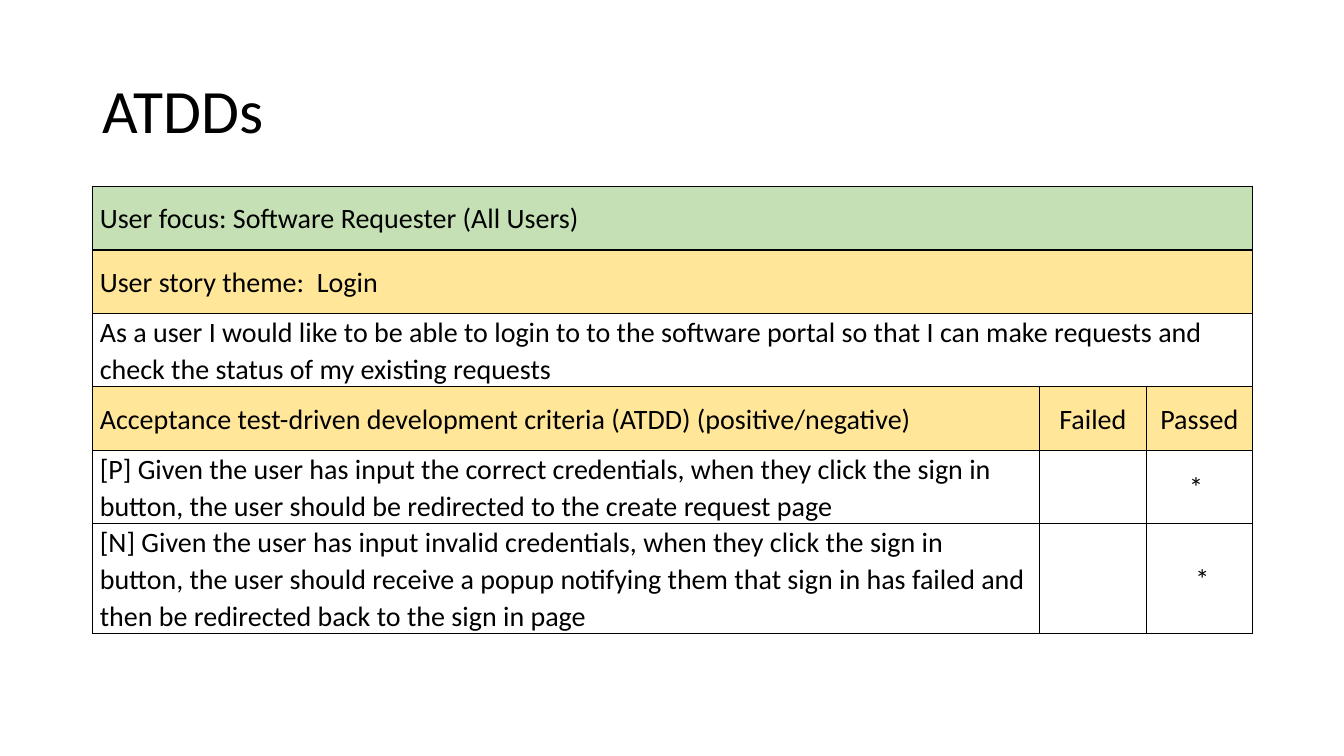
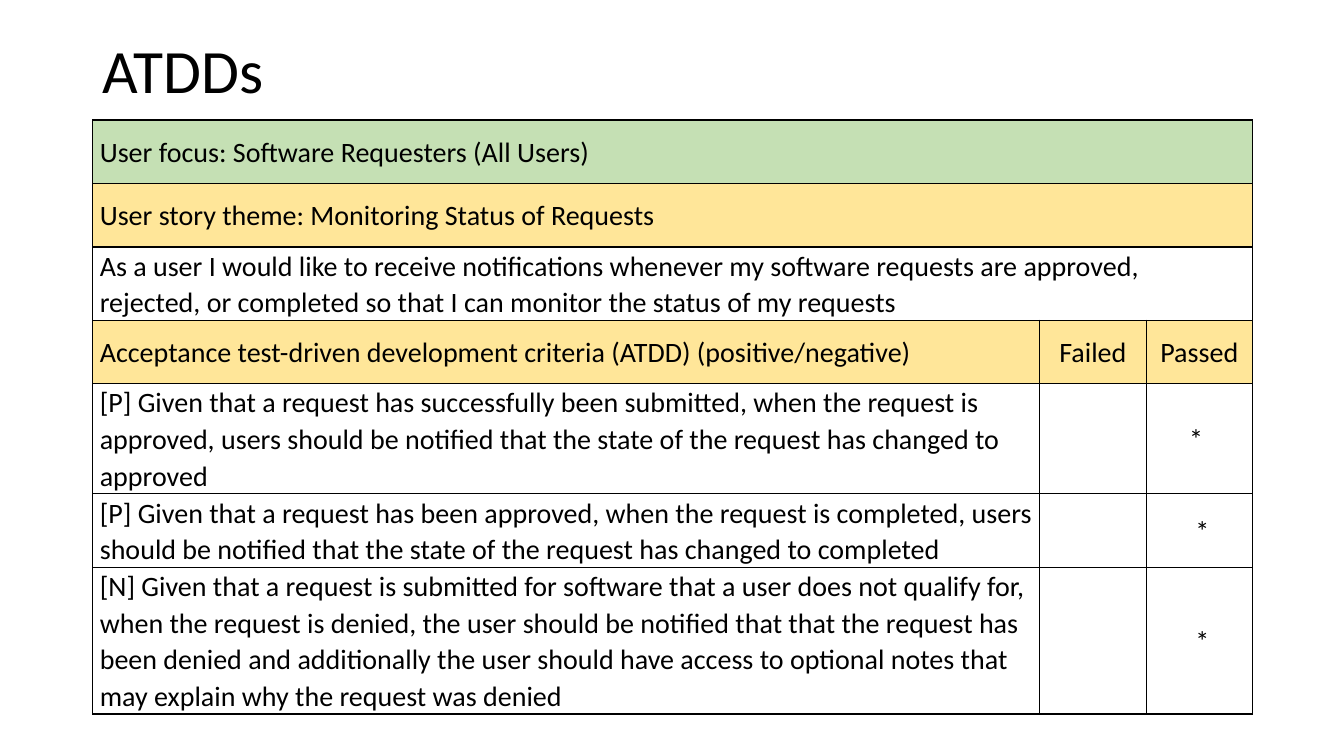
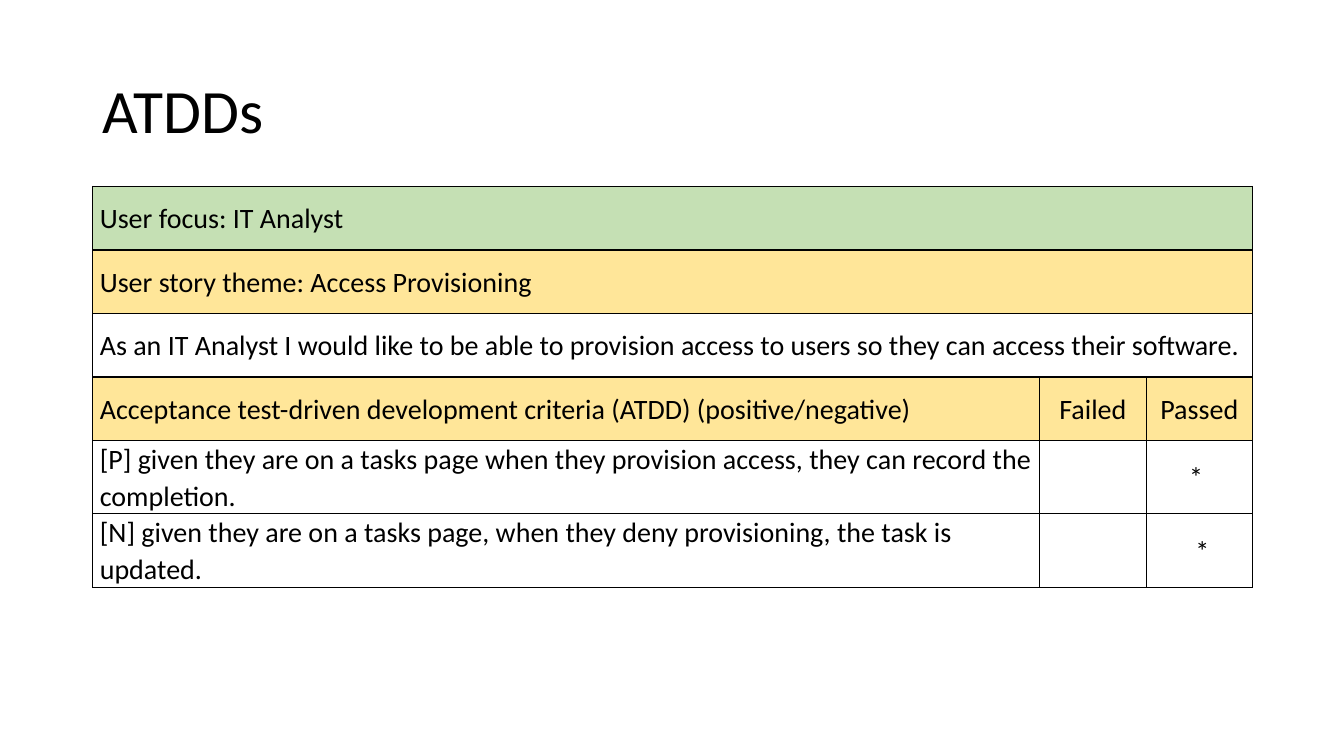
from pptx import Presentation
from pptx.dml.color import RGBColor
from pptx.enum.text import MSO_ANCHOR, MSO_AUTO_SIZE, PP_ALIGN
from pptx.oxml import parse_xml
from pptx.oxml.ns import nsdecls
from pptx.util import Inches, Pt

BLACK = RGBColor(0x00, 0x00, 0x00)
GREEN = RGBColor(0xC5, 0xE0, 0xB4)
YELLOW = RGBColor(0xFF, 0xE6, 0x99)

FONT = "Calibri"
LEFT, WIDTH = Inches(0.92), Inches(11.5)
TITLE_HEIGHT = Inches(1.45)
ROW_HEIGHT = Inches(0.63)
COLUMN_WIDTHS = [Inches(9.39), Inches(1.06), Inches(1.05)]

TITLE_FRAME = {"vertical_anchor": MSO_ANCHOR.MIDDLE, "word_wrap": True,
               "auto_size": MSO_AUTO_SIZE.NONE,
               "margin_left": Inches(0.1), "margin_right": Inches(0.1),
               "margin_top": Inches(0.05), "margin_bottom": Inches(0.05)}
TITLE_PARA = {"alignment": PP_ALIGN.LEFT, "line_spacing": 0.9}
TITLE_FONT = {"name": FONT, "size": Pt(44)}
CELL_FRAME = {"vertical_anchor": MSO_ANCHOR.MIDDLE,
              "margin_left": Inches(0.07), "margin_right": Inches(0.07),
              "margin_top": 0, "margin_bottom": 0}
CELL_FONT = {"name": FONT, "size": Pt(20)}
PLAIN_TABLE = {"first_row": False, "horz_banding": False}

CRITERIA_HEADER = ["Acceptance test-driven development criteria (ATDD) (positive/negative)",
                   "Failed", "Passed"]
FIRST_MARK, LATER_MARK = "*\u00a0", "\u00a0*"

STORIES = [
    {"title_top": Inches(0.4), "table_top": Inches(1.85),
     "focus": "Software Requester (All Users)",
     "theme": " Login",
     "story": "As a user I would like to be able to login to to the software portal "
              "so that I can make requests and check the status of my existing requests",
     "criteria": [
         "[P] Given the user has input the correct credentials, when they click the "
         "sign in button, the user should be redirected to the create request page",
         "[N] Given the user has input invalid credentials, when they click the sign in "
         "button, the user should receive a popup notifying them that sign in has "
         "failed and then be redirected back to the sign in page"]},
    {"title_top": Inches(0), "table_top": Inches(1.19),
     "focus": "Software Requesters (All Users)",
     "theme": "Monitoring Status of Requests",
     "story": "As a user I would like to receive notifications whenever my software "
              "requests are approved, rejected, or completed so that I can monitor "
              "the status of my requests",
     "criteria": [
         "[P] Given that a request has successfully been submitted, when the request is "
         "approved, users should be notified that the state of the request has changed "
         "to approved",
         "[P] Given that a request has been approved, when the request is completed, "
         "users should be notified that the state of the request has changed to completed",
         "[N] Given that a request is submitted for software that a user does not qualify "
         "for, when the request is denied, the user should be notified that that the "
         "request has been denied and additionally the user should have access to "
         "optional notes that may explain why the request was denied"]},
    {"title_top": Inches(0.4), "table_top": Inches(1.85),
     "focus": "IT Analyst",
     "theme": "Access Provisioning",
     "story": "As an IT Analyst I would like to be able to provision access to users "
              "so they can access their software.",
     "criteria": [
         "[P] given they are on a tasks page when they provision access, they can "
         "record the completion.",
         "[N] given they are on a tasks page, when they deny provisioning, the task "
         "is updated."]},
]


def apply_format(target, values):
    """Set each attribute named in values on the target."""
    for name, value in values.items():
        setattr(target, name, value)


def add_borders(cell):
    """Draw a thin black line on all four sides of a cell."""
    properties = cell._tc.get_or_add_tcPr()
    for side in ("lnL", "lnR", "lnT", "lnB"):
        properties.append(parse_xml(
            f'<a:{side} {nsdecls("a")} w="{Pt(1)}"><a:solidFill>'
            f'<a:srgbClr val="{BLACK}"/></a:solidFill></a:{side}>'))


def write_para(para, text, para_format, font_format):
    """Write one formatted black run into a paragraph."""
    apply_format(para, para_format)
    span = para.add_run()
    span.text = text
    apply_format(span.font, font_format)
    span.font.color.rgb = BLACK


def add_title(page, top):
    """Place the page title at the given top."""
    box = page.shapes.title
    apply_format(box, {"left": LEFT, "top": top, "width": WIDTH, "height": TITLE_HEIGHT})
    apply_format(box.text_frame, TITLE_FRAME)
    write_para(box.text_frame.paragraphs[0], "ATDDs", TITLE_PARA, TITLE_FONT)


def fill_cell(cell, text, fill, alignment):
    """Give a cell its borders, fill, margins and text."""
    add_borders(cell)
    if fill is None:
        cell.fill.background()
    else:
        cell.fill.solid()
        cell.fill.fore_color.rgb = fill
    apply_format(cell, CELL_FRAME)
    para = cell.text_frame.paragraphs[0]
    if text:
        write_para(para, text, {"alignment": alignment, "line_spacing": 1.07}, CELL_FONT)
    else:
        apply_format(para.font, CELL_FONT)


def add_story_table(page, top, story):
    """Place the table of one user story and its test criteria."""
    rows = [([f"User focus: {story['focus']}"], GREEN),
            ([f"User story theme: {story['theme']}"], YELLOW),
            ([story["story"]], None),
            (CRITERIA_HEADER, YELLOW)]
    for index, criterion in enumerate(story["criteria"]):
        rows.append(([criterion, "", LATER_MARK if index else FIRST_MARK], None))

    table = page.shapes.add_table(len(rows), len(COLUMN_WIDTHS), LEFT, top, WIDTH,
                                  ROW_HEIGHT * len(rows)).table
    apply_format(table, PLAIN_TABLE)
    for column, width in zip(table.columns, COLUMN_WIDTHS):
        column.width = width
    last = len(COLUMN_WIDTHS) - 1
    for row, (texts, fill) in enumerate(rows):
        table.rows[row].height = ROW_HEIGHT
        if len(texts) == 1:
            table.cell(row, 0).merge(table.cell(row, last))
        for column in range(last + 1):
            text = texts[column] if column < len(texts) else ""
            fill_cell(table.cell(row, column), text, fill,
                      PP_ALIGN.CENTER if column else PP_ALIGN.LEFT)


def add_story_page(deck, story):
    """Add a page with the title and one story table."""
    page = deck.slides.add_slide(deck.slide_layouts.get_by_name("Title Only"))
    add_title(page, story["title_top"])
    add_story_table(page, story["table_top"], story)


deck = Presentation()
apply_format(deck, {"slide_width": Inches(13.33), "slide_height": Inches(7.5)})
for user_story in STORIES:
    add_story_page(deck, user_story)
deck.save("out.pptx")
